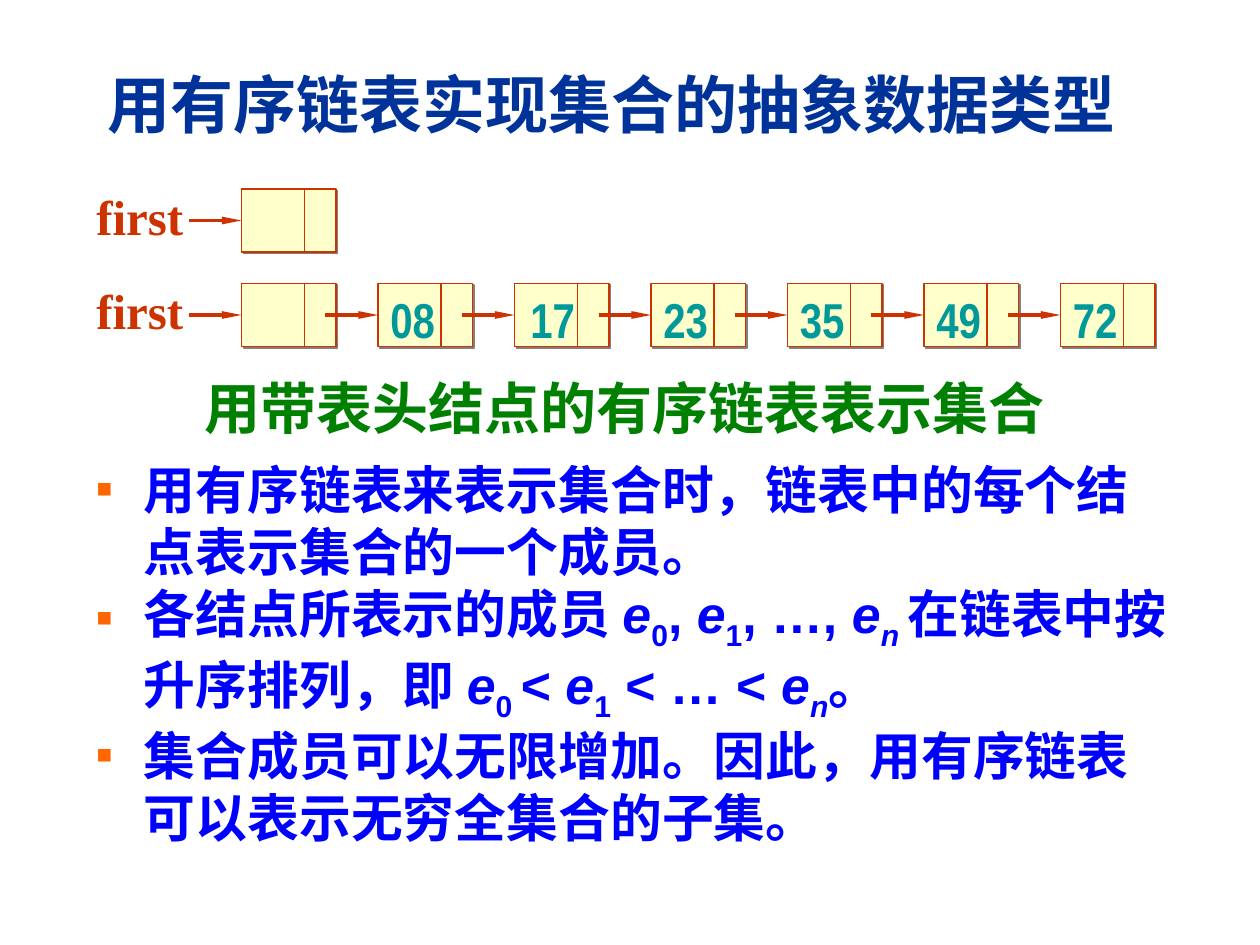
from dataclasses import dataclass

from lxml.etree import SubElement
from pptx import Presentation
from pptx.dml.color import RGBColor
from pptx.enum.shapes import MSO_CONNECTOR, MSO_SHAPE
from pptx.enum.text import MSO_ANCHOR, MSO_AUTO_SIZE, PP_ALIGN
from pptx.oxml import parse_xml
from pptx.oxml.ns import nsdecls, qn
from pptx.util import Pt

NAVY = RGBColor(0x00, 0x33, 0x99)
GREEN = RGBColor(0x00, 0x80, 0x00)
BLUE = RGBColor(0x00, 0x00, 0xFF)
RED = RGBColor(0xCC, 0x33, 0x00)
TEAL = RGBColor(0x00, 0x99, 0x99)
CREAM = RGBColor(0xFF, 0xFF, 0xCC)
GRAY = RGBColor(0x80, 0x80, 0x80)
ORANGE = RGBColor(0xFF, 0x66, 0x00)

# Linked-list geometry, in points
NODE_WIDTH, NODE_HEIGHT, DATA_WIDTH = 54, 36, 36
FIRST_LEFT, PITCH, ARROW_LENGTH = 138, 78, 30
EMPTY_LIST_TOP, FULL_LIST_TOP = 108, 162


@dataclass
class Node:
    value: str = ""
    label_shift: float = 0


@dataclass
class Span:
    text: str
    italic: bool = False
    subscript: bool = False


def element(index: str, italic: bool = False) -> list[Span]:
    """A set member: an italic e with its subscript."""
    return [Span("e", italic=True), Span(index, italic, subscript=True)]


NODES = [Node(), Node("08"), Node("17", 2), Node("23"), Node("35"), Node("49"), Node("72")]
BULLETS = [
    [Span("用有序链表来表示集合时，链表中的每个结点表示集合的一个成员。")],
    [
        Span("各结点所表示的成员 "), *element("0"), Span(", "), *element("1"),
        Span(", …, "), *element("n ", italic=True),
        Span("在链表中按升序排列，即 "), *element("0 "), Span("< "), *element("1"),
        Span(" < … < "), *element("n", italic=True), Span("。"),
    ],
    [Span("集合成员可以无限增加。因此，用有序链表可以表示无穷全集合的子集。")],
]


def place(shape, left: float, top: float, width: float, height: float) -> None:
    shape.left, shape.top = Pt(left), Pt(top)
    shape.width, shape.height = Pt(width), Pt(height)


def style_font(font, size: float, name: str, color: RGBColor) -> None:
    font.size, font.name, font.bold = Pt(size), name, True
    font.color.rgb = color


def prepare_frame(frame, wrap: bool) -> None:
    frame.word_wrap = wrap
    frame.auto_size = MSO_AUTO_SIZE.NONE
    frame.vertical_anchor = MSO_ANCHOR.TOP


def add_label(page, text: str, left: float, top: float, width: float, height: float,
              size: float, name: str, color: RGBColor) -> None:
    box = page.shapes.add_textbox(Pt(left), Pt(top), Pt(width), Pt(height))
    prepare_frame(box.text_frame, wrap=False)
    box.text_frame.text = text
    style_font(box.text_frame.paragraphs[0].runs[0].font, size, name, color)


def add_line(page, x1: float, y1: float, x2: float, y2: float,
             weight: float, arrow: bool = False) -> None:
    line = page.shapes.add_connector(MSO_CONNECTOR.STRAIGHT, Pt(x1), Pt(y1), Pt(x2), Pt(y2))
    line.line.color.rgb = RED
    line.line.width = Pt(weight)
    if arrow:
        SubElement(line.line._get_or_add_ln(), qn("a:tailEnd"), type="triangle", w="sm", len="lg")
    SubElement(line._element.spPr, qn("a:effectLst"))


def add_node(page, left: float, top: float) -> None:
    """A two-field node with the arrow that points to it."""
    box = page.shapes.add_shape(MSO_SHAPE.RECTANGLE, Pt(left), Pt(top),
                                Pt(NODE_WIDTH), Pt(NODE_HEIGHT))
    box.fill.solid()
    box.fill.fore_color.rgb = CREAM
    box.line.color.rgb = RED
    box.line.width = Pt(0.75)
    box._element.spPr.append(parse_xml(
        f'<a:effectLst {nsdecls("a")}><a:outerShdw dist="{Pt(1.4)}" dir="2700000" '
        f'algn="ctr" rotWithShape="0"><a:srgbClr val="{GRAY}"/></a:outerShdw></a:effectLst>'))
    divider = left + DATA_WIDTH
    add_line(page, divider, top, divider, top + NODE_HEIGHT, 0.75)
    middle = top + NODE_HEIGHT / 2
    add_line(page, left - ARROW_LENGTH, middle, left, middle, 2.25, arrow=True)


def add_list(page, nodes: list[Node], top: float) -> None:
    lefts = [FIRST_LEFT + PITCH * index for index in range(len(nodes))]
    add_label(page, "first", 48, top - 5, 64, 41, 28, "Times New Roman", RED)
    for left in lefts:
        add_node(page, left, top)
    for node, left in zip(nodes, lefts):
        if node.value:
            add_label(page, node.value, left + node.label_shift, top, 39.6, 41,
                      28, "Arial Narrow", TEAL)


def add_bullet(para) -> None:
    properties = para._p.get_or_add_pPr()
    properties.set("marL", str(Pt(27)))
    properties.set("indent", str(Pt(-27)))
    color = SubElement(properties, qn("a:buClr"))
    SubElement(color, qn("a:srgbClr"), val=str(ORANGE))
    SubElement(properties, qn("a:buSzPct"), val="50000")
    SubElement(properties, qn("a:buFont"), typeface="Arial")
    SubElement(properties, qn("a:buChar"), char="■")


def fill_body(frame, bullets: list[list[Span]]) -> None:
    prepare_frame(frame, wrap=True)
    for index, spans in enumerate(bullets):
        para = frame.paragraphs[0] if index == 0 else frame.add_paragraph()
        para.space_before = Pt(0)
        add_bullet(para)
        for span in spans:
            run = para.add_run()
            run.text = span.text
            style_font(run.font, 29.6, "Arial", BLUE)
            run.font.italic = span.italic
            if span.subscript:
                run._r.get_or_add_rPr().set("baseline", "-25000")


def main() -> None:
    deck = Presentation()
    deck.slide_width, deck.slide_height = Pt(720), Pt(540)
    page = deck.slides.add_slide(deck.slide_layouts[1])
    title, body = page.placeholders

    # Title
    place(title, 54, 34, 606, 50.4)
    prepare_frame(title.text_frame, wrap=True)
    title.text_frame.text = "用有序链表实现集合的抽象数据类型"
    heading = title.text_frame.paragraphs[0]
    heading.alignment = PP_ALIGN.LEFT
    style_font(heading.runs[0].font, 36, "Arial", NAVY)

    # Empty list, full list and their caption
    add_list(page, NODES[:1], EMPTY_LIST_TOP)
    add_list(page, NODES, FULL_LIST_TOP)
    add_label(page, "用带表头结点的有序链表表示集合", 109.5, 210, 494.5, 46,
              32, "Times New Roman", GREEN)

    # Explanation
    place(body, 48, 258, 630, 246)
    fill_body(body.text_frame, BULLETS)

    deck.save("out.pptx")


if __name__ == "__main__":
    main()
